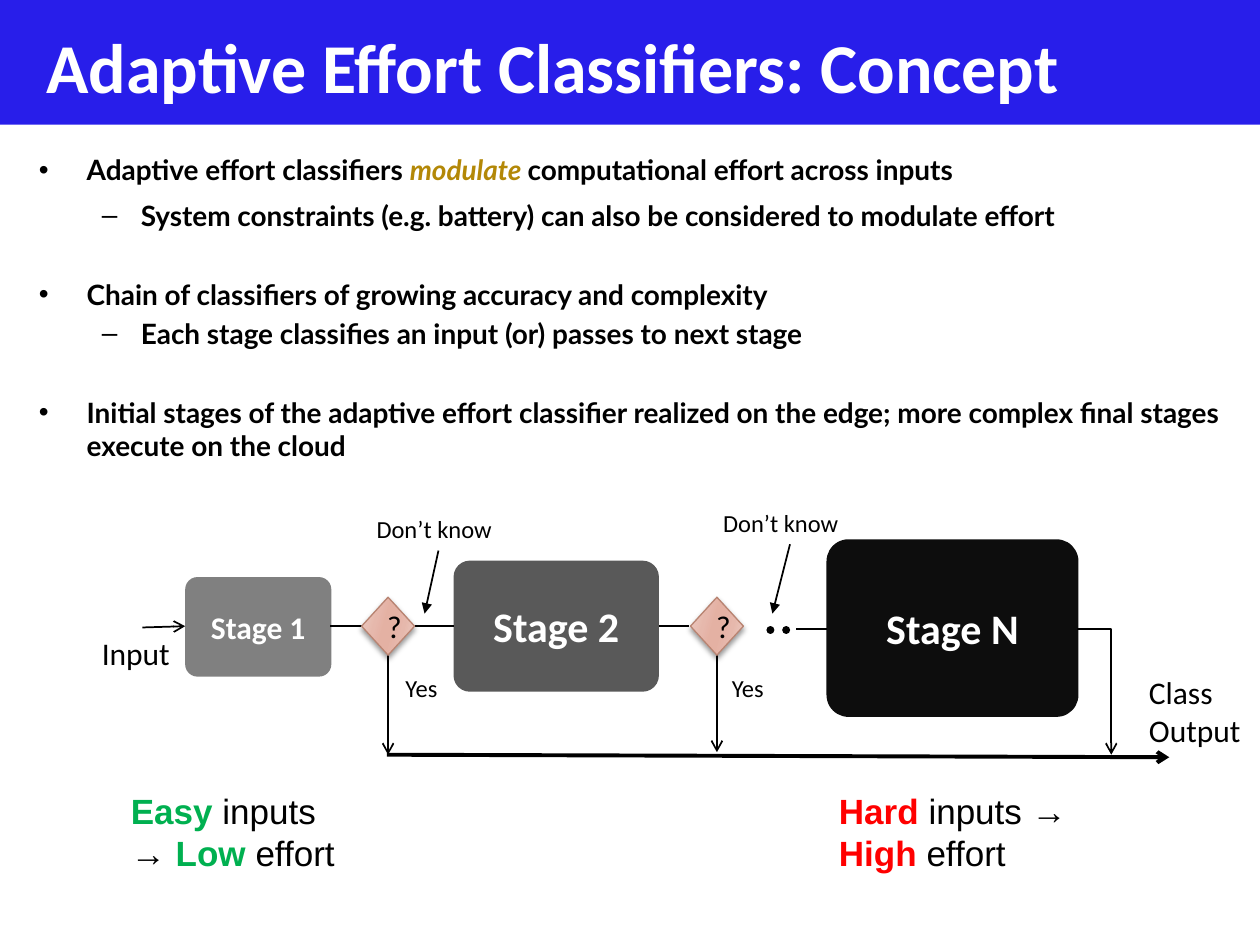
from dataclasses import dataclass

from pptx import Presentation
from pptx.dml.color import RGBColor
from pptx.enum.dml import MSO_LINE
from pptx.enum.shapes import MSO_CONNECTOR as Link, MSO_SHAPE as Shape
from pptx.enum.text import MSO_ANCHOR as Anchor, PP_ALIGN as Align
from pptx.oxml import parse_xml
from pptx.oxml.ns import qn
from pptx.util import Inches, Pt


@dataclass(frozen=True)
class Theme:
    banner: str = "281EEA"
    white: str = "FFFFFF"
    black: str = "000000"
    gold: str = "B38807"
    green: str = "00B050"
    red: str = "FF0000"
    rim: str = "B88472"
    stages: tuple = ("808080", "595959", "0D0D0D")
    blush: tuple = ((0, "ECCEC6"), (30, "E6B8AC"), (45, "E4B1A3"),
                    (55, "E4B1A3"), (73, "E6B8AC"), (100, "ECCEC6"))
    font: str = "Calibri"
    body: str = "Lato"
    note: str = "Arial"
    title: int = 40
    large: int = 24
    effort: int = 20
    label: int = 18
    text: int = 16
    small: int = 14


T = Theme()
NS = 'xmlns:a="http://schemas.openxmlformats.org/drawingml/2006/main"'


def write(para, parts, size, font=T.font):
    """Fill a paragraph with (text, colour, bold, italic) runs."""
    for words, color, bold, italic in parts:
        run = para.add_run()
        run.text = words
        run.font.name, run.font.size = font, Pt(size)
        run.font.bold, run.font.italic = bold, italic
        run.font.color.rgb = RGBColor.from_string(color)


def join(x1, y1, x2, y2, head=None, width=1, kind=Link.STRAIGHT):
    """Draw a black connector without shadow, with an optional arrowhead."""
    line = slide.shapes.add_connector(
        kind, Inches(x1), Inches(y1), Inches(x2), Inches(y2))
    line.line.width = Pt(width)
    line.line.color.rgb = RGBColor.from_string(T.black)
    props = line._element.spPr
    props.append(parse_xml(f"<a:effectLst {NS}/>"))
    if head:
        props.find(qn("a:ln")).append(parse_xml(f'<a:tailEnd {NS} type="{head}"/>'))
    return line


deck = Presentation()
deck.slide_width, deck.slide_height = Inches(10), Inches(7.5)
slide = deck.slides.add_slide(deck.slide_layouts[6])

# Title banner
banner = slide.shapes.add_shape(Shape.RECTANGLE, 0, 0, Inches(10), Inches(0.99))
banner.shadow.inherit = False
banner.fill.solid()
banner.fill.fore_color.rgb = RGBColor.from_string(T.banner)
banner.line.fill.background()
title = slide.shapes.add_textbox(Inches(0.27), Inches(0.1), Inches(9.45), Inches(0.84))
title.text_frame.word_wrap = True
title.text_frame.vertical_anchor = Anchor.MIDDLE
write(title.text_frame.paragraphs[0],
      [("Adaptive Effort Classifiers: Concept", T.white, True, False)], T.title)

# Bullets: level, line spacing, points before, runs
points = [
    (0, 1.2, 3.2, [("Adaptive effort classifiers ", T.black, True, False),
                   ("modulate ", T.gold, True, True),
                   ("computational effort across inputs", T.black, True, False)]),
    (1, 1.2, 3.2, [("System constraints (e.g. battery) can also be considered "
                    "to modulate effort", T.black, True, False)]),
    (0, 1, 25.8, [("Chain of classifiers of growing accuracy and complexity",
                   T.black, True, False)]),
    (1, 1, 3.2, [("Each stage classifies an input (or) passes to next stage",
                  T.black, True, False)]),
    (0, 1, 25.8, [("Initial stages of the adaptive effort classifier realized on the "
                   "edge; more complex final stages execute on the cloud",
                   T.black, True, False)]),
]
body = slide.shapes.add_textbox(Inches(0.21), Inches(1.11), Inches(9.58), Inches(2.42))
frame = body.text_frame
frame.word_wrap = True
for i, (level, gap, before, parts) in enumerate(points):
    para = frame.paragraphs[0] if i == 0 else frame.add_paragraph()
    para.level, para.line_spacing, para.space_before = level, gap, Pt(before)
    left, hang, mark = ((0.38, 0.38, "•"), (0.81, 0.31, "–"))[level]
    props = para._p.get_or_add_pPr()
    props.set("marL", str(Inches(left)))
    props.set("indent", str(-Inches(hang)))
    props.append(parse_xml(f'<a:buFont {NS} typeface="Arial"/>'))
    props.append(parse_xml(f'<a:buChar {NS} char="{mark}"/>'))
    write(para, parts, T.text, T.body)

# Classifier stages
stages = [("Stage 1", 1.47, 4.58, 1.16, 0.79, T.label),
          ("Stage 2", 3.6, 4.45, 1.63, 1.04, T.large),
          ("Stage N", 6.56, 4.28, 2, 1.41, T.large)]
for (name, x, y, w, h, size), color in zip(stages, T.stages):
    stage = slide.shapes.add_shape(
        Shape.ROUNDED_RECTANGLE, Inches(x), Inches(y), Inches(w), Inches(h))
    stage.adjustments[0] = 0.124
    stage.shadow.inherit = False
    stage.fill.solid()
    stage.fill.fore_color.rgb = RGBColor.from_string(color)
    stage.line.fill.background()
    frame = stage.text_frame
    frame.vertical_anchor = Anchor.MIDDLE
    if size == T.label:
        frame.margin_left = frame.margin_right = frame.margin_top = frame.margin_bottom = 0
    frame.paragraphs[0].alignment = Align.CENTER
    write(frame.paragraphs[0], [(name, T.white, True, False)], size)

# Links along the chain and down to the output line
for x1, x2, y in [(2.62, 2.88, 4.97), (3.29, 3.6, 4.97),
                  (5.23, 5.47, 4.97), (6.32, 6.56, 4.99)]:
    join(x1, y, x2, y)
for x1, y1, x2, y2 in [(1.13, 4.98, 1.47, 4.97), (3.08, 5.19, 3.08, 5.99),
                       (5.69, 5.2, 5.69, 5.97)]:
    join(x1, y1, x2, y2, "arrow")
for x1, y1, x2, y2 in [(3.48, 4.37, 3.37, 4.87), (6.27, 4.32, 6.13, 4.87)]:
    join(x1, y1, x2, y2, "triangle")
join(3.07, 5.99, 9.28, 6.01, "arrow", 2.25)
bend = join(8.55, 4.99, 8.82, 5.99, "arrow", kind=Link.ELBOW)
bend._element.spPr.find(qn("a:prstGeom")).set("prst", "bentConnector2")
dots = join(6.24, 5, 5.99, 5, width=4.5)
dots.line.dash_style = MSO_LINE.ROUND_DOT
dots._element.spPr.find(qn("a:ln")).set("cap", "rnd")

# Decision diamonds
stops = "".join(f'<a:gs pos="{at * 1000}"><a:srgbClr val="{color}"/></a:gs>'
                for at, color in T.blush)
for x in (2.87, 5.48):
    choice = slide.shapes.add_shape(
        Shape.DIAMOND, Inches(x), Inches(4.74), Inches(0.42), Inches(0.46))
    choice.line.color.rgb = RGBColor.from_string(T.rim)
    choice.line.width = Pt(0.75)
    props = choice._element.spPr
    props.find(qn("a:prstGeom")).addnext(parse_xml(
        f'<a:gradFill {NS} rotWithShape="1"><a:gsLst>{stops}</a:gsLst>'
        '<a:lin ang="960000" scaled="0"/></a:gradFill>'))
    props.append(parse_xml(
        f'<a:effectLst {NS}><a:outerShdw blurRad="{Pt(3)}" dist="{Pt(2)}" dir="5400000" '
        f'rotWithShape="0"><a:srgbClr val="{T.black}"><a:alpha val="40000"/></a:srgbClr>'
        '</a:outerShdw></a:effectLst>'))
    frame = choice.text_frame
    frame.vertical_anchor = Anchor.MIDDLE
    frame.paragraphs[0].alignment = Align.CENTER
    write(frame.paragraphs[0], [("?", T.black, False, False)], T.label)

# Labels
labels = [(["Don’t know"], 2.89, 4.03, 1.17, 0.34, T.small),
          (["Don’t know"], 5.64, 3.98, 1.25, 0.34, T.small),
          (["Yes"], 3.12, 5.29, 0.53, 0.34, T.small),
          (["Yes"], 5.71, 5.29, 0.53, 0.34, T.small),
          (["Input"], 0.71, 4.98, 0.84, 0.4, T.label),
          (["Class", "Output"], 9.02, 5.29, 0.95, 0.71, T.label)]
for lines, x, y, w, h, size in labels:
    frame = slide.shapes.add_textbox(Inches(x), Inches(y), Inches(w), Inches(h)).text_frame
    frame.word_wrap = True
    for i, words in enumerate(lines):
        para = frame.paragraphs[0] if i == 0 else frame.add_paragraph()
        write(para, [(words, T.black, False, False)], size)

# Effort notes
for x, w, kind, level, color in [(0.94, 1.99, "Easy", "Low", T.green),
                                 (6.56, 2.13, "Hard", "High", T.red)]:
    frame = slide.shapes.add_textbox(
        Inches(x), Inches(6.22), Inches(w), Inches(0.77)).text_frame
    frame.word_wrap = True
    write(frame.paragraphs[0],
          [(kind, color, True, False), (" inputs → ", T.black, False, False),
           (level, color, True, False), (" effort", T.black, False, False)],
          T.effort, T.note)

deck.save("out.pptx")
